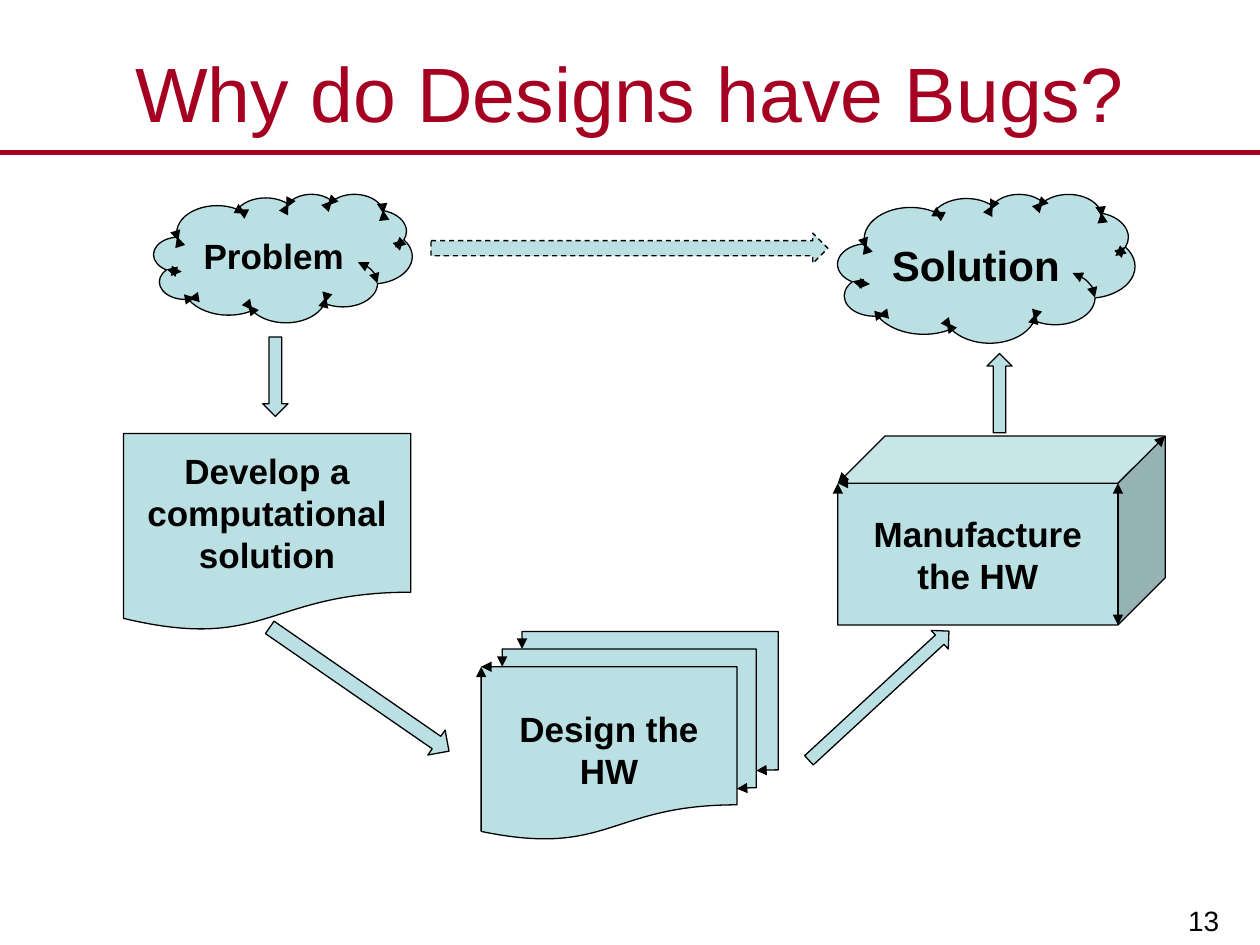
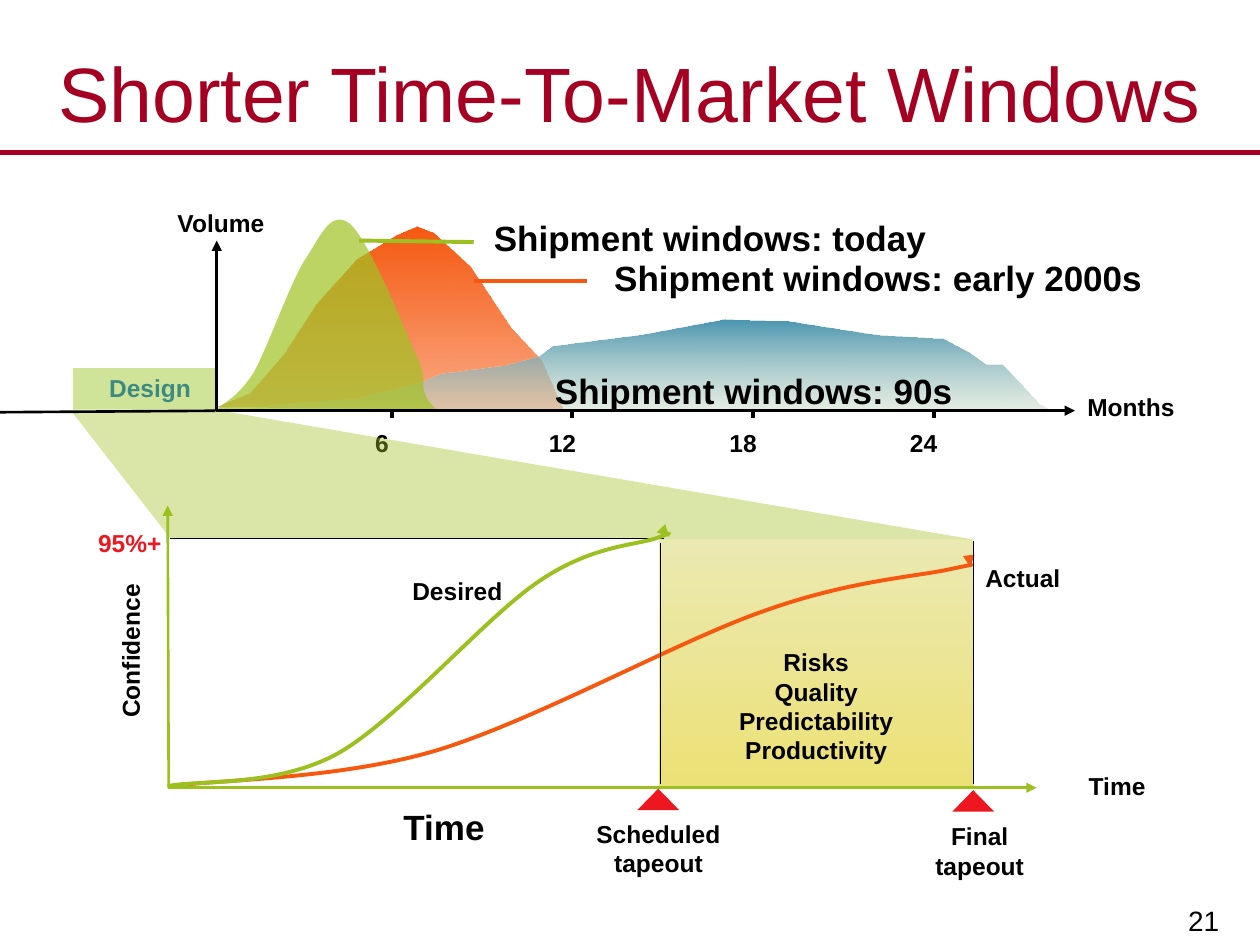
from dataclasses import dataclass

from lxml import etree
from pptx import Presentation
from pptx import util as u
from pptx.dml.color import RGBColor
from pptx.enum import dml, shapes, text
from pptx.oxml.ns import qn

# Shared look
FONT = "Arial"
CRIMSON, BLACK, PALE_BLUE = "A50021", "000000", "BBE0E3"
GREEN, ORANGE, RED, LEAF = "9CC020", "F6580F", "ED171F", "A0C223"
PAGE_WIDTH, PAGE_HEIGHT = 25.4, 19.05
SHAPE = shapes.MSO_SHAPE
ALIGN = text.PP_ALIGN
ANCHOR = text.MSO_ANCHOR

Point = tuple[float, float]


@dataclass
class Step:
    """A captioned shape of the design flow."""
    kind: int
    left: float
    top: float
    width: float
    height: float
    caption: str = ""
    size: int = 20
    rotation: float = 0
    dashed: bool = False


@dataclass
class Label:
    caption: str
    left: float
    top: float
    width: float
    height: float = 0.94
    size: int = 14
    color: str = BLACK
    align: int = ALIGN.CENTER
    inset: float = 0.13
    wrap: bool = False
    rotation: float = 0


@dataclass
class Rule:
    start: Point
    end: Point
    color: str = BLACK
    weight: float = 1.5
    head: bool = False
    tail: bool = False


@dataclass
class Outline:
    """A freeform; when curved, every three points make one Bezier piece."""
    points: list[Point]
    curved: bool = False
    closed: bool = False


# Formatting helpers
def rgb(color: str) -> RGBColor:
    return RGBColor.from_string(color)


def set_text(frame, content: str, *, size: float, color: str = BLACK, bold: bool = False,
             align=ALIGN.CENTER, anchor=ANCHOR.TOP, wrap: bool = True,
             inset_x: float = 0.25, inset_top: float = 0.13, inset_bottom: float = 0.13) -> None:
    frame.auto_size = text.MSO_AUTO_SIZE.NONE
    frame.word_wrap, frame.vertical_anchor = wrap, anchor
    frame.margin_left = frame.margin_right = u.Cm(inset_x)
    frame.margin_top, frame.margin_bottom = u.Cm(inset_top), u.Cm(inset_bottom)
    frame.text = content
    for para in frame.paragraphs:
        para.alignment = align
        for span in para.runs:
            span.font.name, span.font.size = FONT, u.Pt(size)
            span.font.bold = bold
            span.font.color.rgb = rgb(color)


def set_line(line, color: str, weight: float, *, head: bool = False, tail: bool = False,
             dashed: bool = False) -> None:
    line.color.rgb = rgb(color)
    line.width = u.Pt(weight)
    if dashed:
        line.dash_style = dml.MSO_LINE.DASH
    for wanted, tag in ((head, "a:headEnd"), (tail, "a:tailEnd")):
        if wanted:
            etree.SubElement(line._get_or_add_ln(), qn(tag), type="triangle")


def set_fill(shape, *colors: str, opacity: tuple[int, ...] = ()) -> None:
    """Fill with one colour, or with two from top to bottom; no outline."""
    shape.shadow.inherit = False
    shape.line.fill.background()
    if len(colors) == 1:
        shape.fill.solid()
        shape.fill.fore_color.rgb = rgb(colors[0])
    else:
        shape.fill.gradient()
        shape.fill.gradient_angle = 270
        for stop, color in zip(shape.fill.gradient_stops, colors):
            stop.color.rgb = rgb(color)
    for node, percent in zip(shape._element.spPr.iter(qn("a:srgbClr")), opacity):
        if percent < 100:
            etree.SubElement(node, qn("a:alpha"), val=str(percent * 1000))


# Drawing helpers
def add_preset(page, kind: int, left: float, top: float, width: float, height: float):
    return page.shapes.add_shape(kind, u.Cm(left), u.Cm(top), u.Cm(width), u.Cm(height))


def add_step(page, step: Step) -> None:
    shape = add_preset(page, step.kind, step.left, step.top, step.width, step.height)
    set_fill(shape, PALE_BLUE)
    set_line(shape.line, BLACK, 0.75, head=True, tail=True, dashed=step.dashed)
    shape.rotation = step.rotation
    if step.caption:
        set_text(shape.text_frame, step.caption, size=step.size, bold=True, anchor=ANCHOR.MIDDLE)


def add_label(page, label: Label) -> None:
    box = page.shapes.add_textbox(u.Cm(label.left), u.Cm(label.top),
                                  u.Cm(label.width), u.Cm(label.height))
    box.rotation = label.rotation
    set_text(box.text_frame, label.caption, size=label.size, color=label.color, bold=True,
             align=label.align, wrap=label.wrap,
             inset_top=label.inset, inset_bottom=label.inset)


def add_rule(page, rule: Rule) -> None:
    connector = page.shapes.add_connector(
        shapes.MSO_CONNECTOR.STRAIGHT, *(u.Cm(value) for value in rule.start + rule.end))
    set_line(connector.line, rule.color, rule.weight, head=rule.head, tail=rule.tail)
    etree.SubElement(connector._element.spPr, qn("a:effectLst"))


def add_outline(page, outline: Outline):
    first, *rest = [(u.Cm(x), u.Cm(y)) for x, y in outline.points]
    builder = page.shapes.build_freeform(*first)
    builder.add_line_segments(rest, close=outline.closed)
    shape = builder.convert_to_shape()
    if outline.curved:
        segments = list(shape._element.spPr.iter(qn("a:lnTo")))
        for index in range(0, len(segments), 3):
            curve = etree.Element(qn("a:cubicBezTo"))
            segments[index].addprevious(curve)
            for segment in segments[index:index + 3]:
                curve.append(segment[0])
                segment.getparent().remove(segment)
    return shape


def add_area(page, outline: Outline, *colors: str, opacity: tuple[int, ...] = ()) -> None:
    set_fill(add_outline(page, outline), *colors, opacity=opacity)


def add_path(page, outline: Outline, color: str, weight: float, head: bool = False) -> None:
    shape = add_outline(page, outline)
    shape.shadow.inherit = False
    shape.fill.background()
    set_line(shape.line, color, weight, head=head, tail=True)


def add_page(deck, title: str, number: int):
    page = deck.slides.add_slide(deck.slide_layouts[5])
    heading = page.shapes.title
    heading.left, heading.top = u.Cm(0), u.Cm(0.76)
    heading.width, heading.height = u.Cm(PAGE_WIDTH), u.Cm(2.18)
    set_text(heading.text_frame, title, size=44, color=CRIMSON, anchor=ANCHOR.MIDDLE)
    add_rule(page, Rule((0, 3.07), (PAGE_WIDTH, 3.07), CRIMSON, 3))
    box = page.shapes.add_textbox(u.Cm(19.81), u.Cm(17.6), u.Cm(5.05), u.Cm(1.45))
    set_text(box.text_frame, str(number), size=16, align=ALIGN.RIGHT, anchor=ANCHOR.BOTTOM,
             inset_x=0.28, inset_top=0.15, inset_bottom=0.15)
    return page


# Slide: design flow
FLOW = [
    Step(SHAPE.CLOUD, 16.89, 3.91, 5.99, 3, "Solution", size=24),
    Step(SHAPE.CLOUD, 3.1, 3.91, 5.21, 2.59, "Problem"),
    Step(SHAPE.FLOWCHART_MULTIDOCUMENT, 9.7, 12.73, 5.99, 4.19, "Design the HW"),
    Step(SHAPE.FLOWCHART_DOCUMENT, 2.49, 8.74, 5.79, 3.99, "Develop a computational solution"),
    Step(SHAPE.CUBE, 16.89, 8.79, 6.6, 3.81, "Manufacture the HW"),
    Step(SHAPE.RIGHT_ARROW, 5.05, 13.59, 4.39, 0.61, rotation=34.6),
    Step(SHAPE.RIGHT_ARROW, 15.8, 13.77, 3.84, 0.51, rotation=317.3),
    Step(SHAPE.RIGHT_ARROW, 4.75, 7.34, 1.6, 0.51, rotation=90),
    Step(SHAPE.RIGHT_ARROW, 19.35, 7.67, 1.6, 0.51, rotation=270),
    Step(SHAPE.RIGHT_ARROW, 8.69, 4.7, 8, 0.61, dashed=True),
]


def build_flow(deck) -> None:
    page = add_page(deck, "Why do Designs have Bugs?", 13)
    for step in FLOW:
        add_step(page, step)


# Slide: market windows
MONTH_AXIS_Y, TIME_AXIS_Y = 8.28, 15.88
FIRST_TICK, TICK_GAP = 7.9, 3.64

ACTUAL = Outline([
    (3.43, 15.85), (4.32, 15.72), (6.78, 15.72), (8.76, 15.14), (10.74, 14.55), (13.61, 12.95),
    (15.34, 12.34), (17.07, 11.71), (18.44, 11.63), (19.13, 11.48), (19.84, 11.33),
    (19.69, 11.38), (19.56, 11.43)], curved=True)
DESIRED = Outline([
    (3.38, 15.85), (3.94, 15.72), (5.56, 15.88), (6.81, 15.19), (8.03, 14.5), (9.78, 12.45),
    (10.85, 11.73), (11.91, 11), (12.78, 11), (13.23, 10.85), (13.67, 10.69),
    (13.59, 10.74), (13.49, 10.82)], curved=True)
EARLY_2000S = Outline([
    (4.37, 8.2), (5.05, 7.92), (5.72, 7.14), (6.38, 6.12), (7.19, 5.23), (7.98, 4.75),
    (8.41, 4.57), (8.74, 4.7), (9.47, 5.38), (10.29, 6.6), (10.9, 7.26), (11.35, 8.28)])
NINETIES = Outline([
    (4.78, 8.28), (5.46, 8.15), (6.53, 8.08), (7.19, 8.03), (8.46, 7.72), (8.86, 7.54),
    (10.19, 7.37), (10.85, 7.19), (11.13, 6.99), (12.95, 6.76), (14.61, 6.45), (15.88, 6.48),
    (17.65, 6.76), (19, 6.83), (19.53, 7.11), (19.86, 7.34), (20.19, 7.34), (20.55, 7.72),
    (20.93, 8.13), (21.21, 8.28)])
TODAY = Outline([
    (4.37, 8.26), (4.5, 8.13), (4.8, 8), (5.11, 7.52), (5.38, 7.04), (5.82, 5.79), (6.12, 5.28),
    (6.45, 4.8), (6.65, 4.22), (7.04, 4.5), (7.42, 4.8), (8.1, 6.5), (8.36, 7.09),
    (8.64, 7.65), (8.48, 7.72), (8.56, 7.92), (8.64, 8.13), (8.74, 8.2), (8.84, 8.28)],
    curved=True)
ZOOM_WEDGE = Outline([(1.47, 8.33), (3.45, 10.87), (19.58, 10.87), (4.34, 8.26)], closed=True)
VOLUME_AXES = Outline([(4.37, 4.85), (4.37, MONTH_AXIS_Y), (21.67, MONTH_AXIS_Y)])

WINDOW_LABELS = [
    Label("Shipment windows: 90s", 10.9, 7.19, 8.59, 1.37, size=20, inset=0.25),
    Label("Shipment windows: early 2000s", 12.09, 4.93, 11.23, 1.37, size=20, inset=0.25),
    Label("Shipment windows: today", 8.51, 4.11, 11.61, 1.37, size=20, inset=0.25),
    Label("Months", 21.62, 7.77, 2.36),
    Label("Volume", 3.25, 4.06, 2.41),
]
LEADERS = [
    Rule((9.55, 5.66), (11.84, 5.66), ORANGE, 2.25),
    Rule((7.24, 4.85), (9.55, 4.88), GREEN, 2.25),
]
CONFIDENCE_RULES = [
    Rule((4.34, MONTH_AXIS_Y), (0, 8.31)),
    Rule((3.38, 10.19), (3.4, TIME_AXIS_Y), GREEN, head=True),
    Rule((3.38, TIME_AXIS_Y), (20.9, TIME_AXIS_Y), GREEN, tail=True),
    Rule((13.31, 15.8), (13.31, 10.95), weight=0.5),
    Rule((19.63, 15.8), (19.63, 10.9), weight=0.5),
    Rule((3.43, 10.85), (13.39, 10.85), weight=0.5),
]
CONFIDENCE_LABELS = [
    Label("Design", 1.83, 7.39, 2.39, color="3D8B80"),
    Label("Confidence", 0.99, 12.65, 3.35, rotation=270),
    Label("Time", 5.61, 16.1, 6.68, 1.12, size=20),
    Label("Scheduled tapeout", 10.95, 16.38, 4.65, 0.86, wrap=True),
    Label("Time", 21.11, 15.42, 2.82),
    Label("Final tapeout", 18.06, 16.43, 3.38, 0.86, wrap=True),
    Label("95%+", 1.55, 10.52, 1.96, color=RED, align=ALIGN.RIGHT),
    Label("Desired", 8, 11.48, 2.44),
]
TAPEOUT_MARKERS = [(12.85, 15.9), (19.2, 15.93)]


def build_windows(deck) -> None:
    page = add_page(deck, "Shorter Time-To-Market Windows", 21)

    # Design phase and risk zone
    set_fill(add_preset(page, SHAPE.RECTANGLE, 1.47, 7.42, 2.9, 0.84), "A0CB33", opacity=(50,))
    risk_zone = add_preset(page, SHAPE.RECTANGLE, 13.28, 10.87, 6.35, 4.98)
    set_fill(risk_zone, "EBE9B2", "ECE176")
    set_text(risk_zone.text_frame, "Risks\nQuality\nPredictability\nProductivity", size=14,
             bold=True, anchor=ANCHOR.BOTTOM, inset_x=0, inset_top=0, inset_bottom=0.43)
    add_path(page, ACTUAL, ORANGE, 2.25)
    add_label(page, Label("Actual", 19.58, 11.23, 2.08))

    # Shipment volumes over months
    add_area(page, EARLY_2000S, ORANGE, ORANGE, opacity=(100, 50))
    add_area(page, NINETIES, "4A95B0", "CADBC8", opacity=(100, 50))
    for index, month in enumerate(range(6, 25, 6)):
        tick = FIRST_TICK + index * TICK_GAP
        add_rule(page, Rule((tick, MONTH_AXIS_Y), (tick, 8.43), weight=2.25))
        add_label(page, Label(str(month), tick - 0.76, 8.38, 1.12, 1.19, inset=0.25))
    for label in WINDOW_LABELS:
        add_label(page, label)
    for leader in LEADERS:
        add_rule(page, leader)
    add_area(page, TODAY, LEAF, opacity=(70,))

    # Confidence over time
    add_area(page, ZOOM_WEDGE, LEAF, opacity=(40,))
    for rule in CONFIDENCE_RULES:
        add_rule(page, rule)
    for left, top in TAPEOUT_MARKERS:
        set_fill(add_preset(page, SHAPE.ISOSCELES_TRIANGLE, left, top, 0.84, 0.43), RED)
    for label in CONFIDENCE_LABELS:
        add_label(page, label)
    add_path(page, DESIRED, GREEN, 2.25)
    add_path(page, VOLUME_AXES, BLACK, 1.5, head=True)


def main() -> None:
    deck = Presentation()
    deck.slide_width, deck.slide_height = u.Cm(PAGE_WIDTH), u.Cm(PAGE_HEIGHT)
    build_flow(deck)
    build_windows(deck)
    deck.save("out.pptx")


if __name__ == "__main__":
    main()
